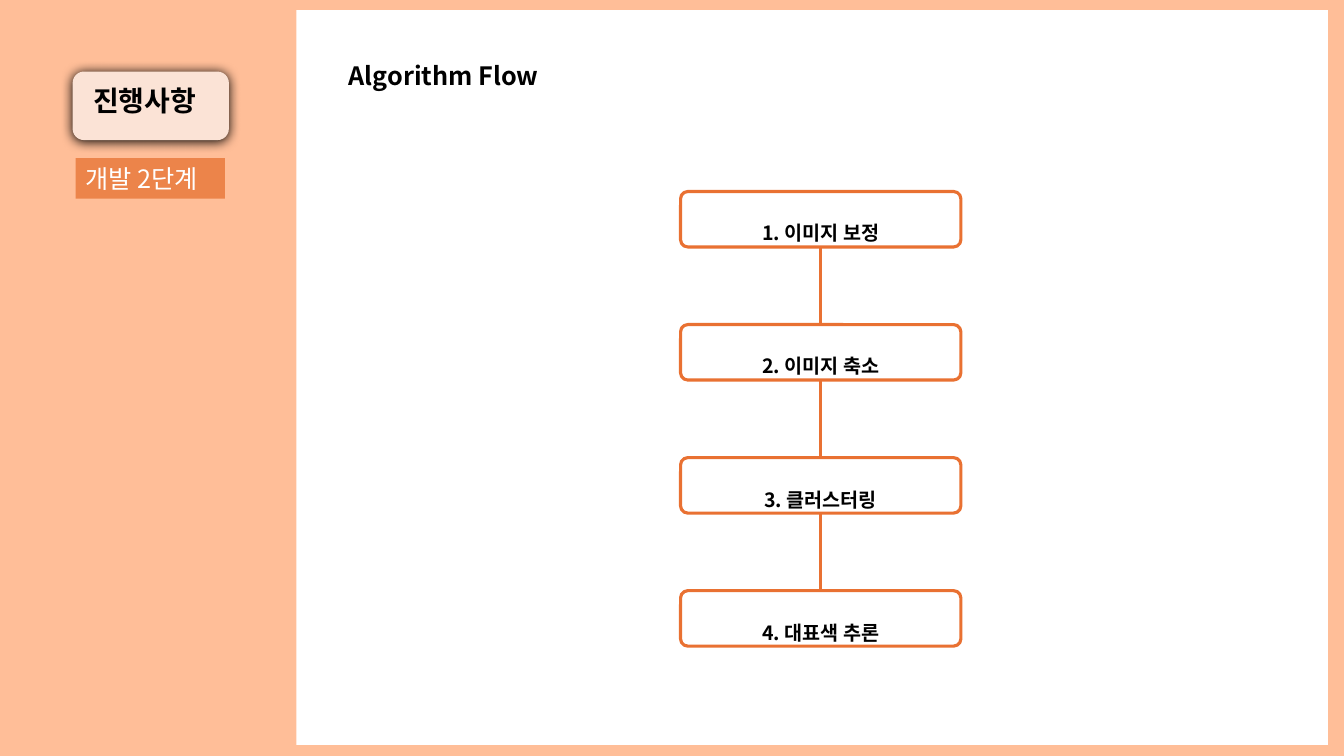
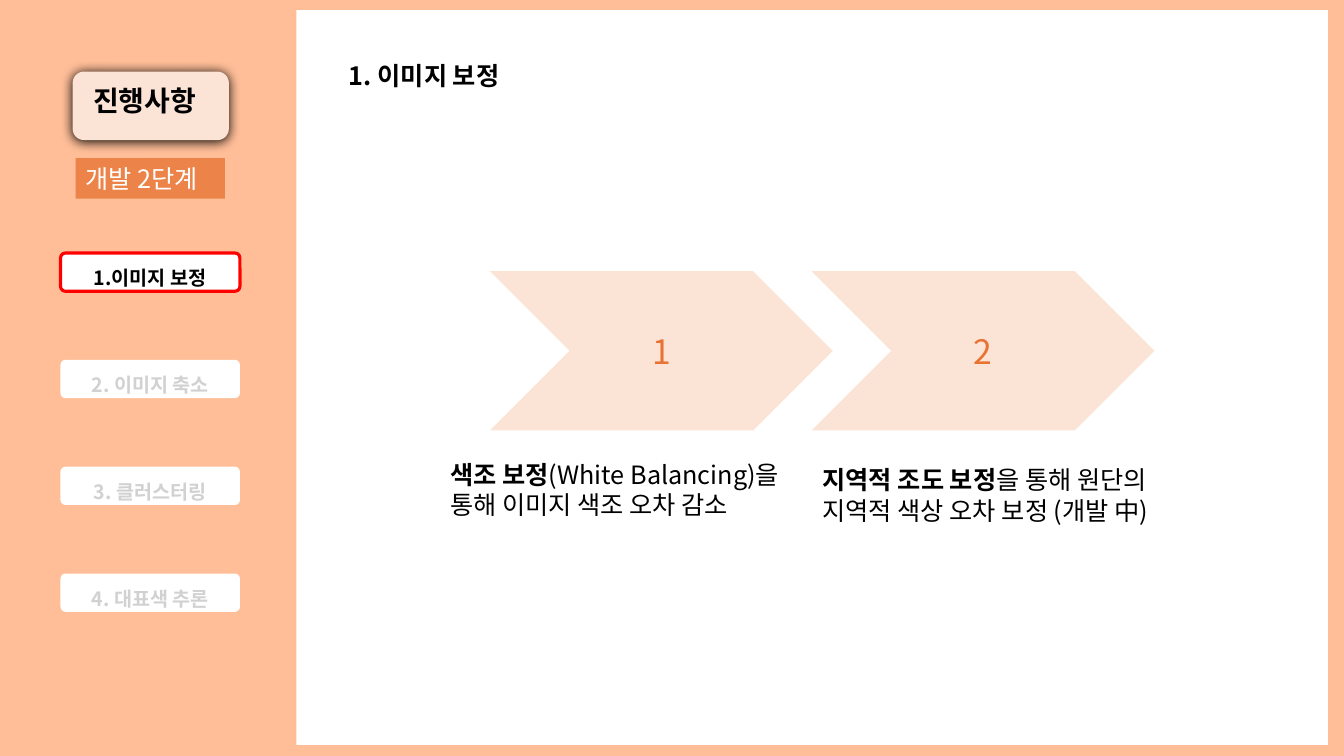
from lxml.etree import SubElement
from pptx import Presentation
from pptx.dml.color import RGBColor
from pptx.enum.shapes import MSO_CONNECTOR, MSO_SHAPE
from pptx.enum.text import MSO_ANCHOR, MSO_AUTO_SIZE, PP_ALIGN
from pptx.oxml import parse_xml
from pptx.oxml.ns import nsdecls, qn
from pptx.util import Inches, Pt

FONT = "Noto Sans CJK KR"
PEACH = RGBColor(0xFF, 0xBE, 0x98)
PALE_PEACH = RGBColor(0xFB, 0xE3, 0xD6)
STAGE_ORANGE = RGBColor(0xEC, 0x84, 0x4A)
ORANGE = RGBColor(0xE9, 0x71, 0x32)
RED = RGBColor(0xFF, 0x00, 0x00)
GREY = RGBColor(0xD1, 0xD1, 0xD1)
BLACK = RGBColor(0x00, 0x00, 0x00)
WHITE = RGBColor(0xFF, 0xFF, 0xFF)

LINE_WIDTH = Pt(2.25)
STEPS = ["1. 이미지 보정", "2. 이미지 축소", "3. 클러스터링", "4. 대표색 추론"]
SIDEBAR_STEPS = ["1.이미지 보정", *STEPS[1:]]
# left, top, bold opening, remaining text, width
CORRECTIONS = [
    (4.37, 4.51, "색조 보정", "(White Balancing)을 통해 이미지 색조 오차 감소", 3.7),
    (8.06, 4.56, "지역적 조도 보정", "을 통해 원단의 지역적 색상 오차 보정 (개발 中)", 3.91),
]


def style_paragraph(paragraph, size, color, bold=False, align=PP_ALIGN.LEFT):
    """Format a paragraph, with the same typeface for Latin and Korean text."""
    paragraph.alignment = align
    font = paragraph.font
    font.name, font.size, font.bold = FONT, Pt(size), bold
    font.color.rgb = color
    properties = paragraph._p.pPr.find(qn("a:defRPr"))
    SubElement(properties, qn("a:ea")).set("typeface", FONT)


def set_margins(frame, left=0.1, top=0.05, right=0.1, bottom=0.05):
    frame.margin_left, frame.margin_top = Inches(left), Inches(top)
    frame.margin_right, frame.margin_bottom = Inches(right), Inches(bottom)


def add_box(slide, kind, left, top, width, height, fill, line=None):
    shape = slide.shapes.add_shape(
        kind, Inches(left), Inches(top), Inches(width), Inches(height))
    shape.shadow.inherit = False
    shape.fill.solid()
    shape.fill.fore_color.rgb = fill
    if line is None:
        shape.line.fill.background()
    else:
        shape.line.color.rgb = line
        shape.line.width = LINE_WIDTH
    return shape


def write(shape, text, size, color, bold=False, align=PP_ALIGN.LEFT,
          anchor=MSO_ANCHOR.MIDDLE):
    frame = shape.text_frame
    frame.word_wrap = True
    frame.vertical_anchor = anchor
    frame.text = text
    style_paragraph(frame.paragraphs[0], size, color, bold, align)
    return frame


def add_step(slide, text, left, top, width, height, line, color=BLACK):
    shape = add_box(slide, MSO_SHAPE.ROUNDED_RECTANGLE, left, top, width, height,
                    WHITE, line)
    shape.adjustments[0] = 0.13
    frame = write(shape, text, 14, color, True, PP_ALIGN.CENTER, MSO_ANCHOR.BOTTOM)
    set_margins(frame, top=0, bottom=0)
    return shape


def add_link(slide, upper, lower):
    """Join the bottom of one box to the top of the next."""
    connector = slide.shapes.add_connector(MSO_CONNECTOR.STRAIGHT, 0, 0, 0, 0)
    connector.begin_connect(upper, 2)
    connector.end_connect(lower, 0)
    connector.line.color.rgb = ORANGE
    connector.line.width = LINE_WIDTH
    SubElement(connector._element.spPr, qn("a:effectLst"))


def add_badge(slide):
    """Add the section name on a rounded card with a soft shadow."""
    badge = add_box(slide, MSO_SHAPE.ROUNDED_RECTANGLE, 0.72, 0.71, 1.55, 0.68,
                    PALE_PEACH)
    effects = badge._element.spPr.find(qn("a:effectLst"))
    effects.append(parse_xml(
        f'<a:outerShdw {nsdecls("a")} blurRad="{Pt(8.5)}" dist="{Pt(1)}" '
        'dir="5400000" algn="t" rotWithShape="0"><a:srgbClr val="000000"/>'
        '</a:outerShdw>'))
    frame = write(badge, "진행사항", 20, BLACK, True)
    set_margins(frame, left=0.17, top=0, right=0, bottom=0.1)


def add_base_slide(presentation, title_text):
    """Add a slide with the peach frame, white panel, section labels and title."""
    slide = presentation.slides.add_slide(presentation.slide_layouts[5])
    slide.background.fill.solid()
    slide.background.fill.fore_color.rgb = PEACH
    add_box(slide, MSO_SHAPE.RECTANGLE, 2.94, 0.1, 10.23, 7.29, WHITE)
    add_badge(slide)
    stage = add_box(slide, MSO_SHAPE.RECTANGLE, 0.75, 1.57, 1.48, 0.4, STAGE_ORANGE)
    set_margins(write(stage, "개발 2단계", 18, WHITE), right=0)

    title = slide.shapes.title
    title.left, title.top = Inches(3.36), Inches(0.55)
    title.width, title.height = Inches(3.95), Inches(0.4)
    frame = write(title, title_text, 18, BLACK, True)
    frame.auto_size = MSO_AUTO_SIZE.NONE
    set_margins(frame)
    title.element.getparent().append(title.element)  # in front of the panel
    return slide


def add_caption(slide, left, top, lead, rest, width):
    box = slide.shapes.add_textbox(
        Inches(left), Inches(top), Inches(width), Inches(0.71))
    box.text_frame.word_wrap = True
    paragraph = box.text_frame.paragraphs[0]
    for text, bold in ((lead, True), (rest, False)):
        run = paragraph.add_run()
        run.text = text
        run.font.bold = bold
    style_paragraph(paragraph, 18, BLACK)


def build_flow_slide(presentation):
    slide = add_base_slide(presentation, "Algorithm Flow")
    boxes = [add_step(slide, text, 6.75, 1.9 + 1.32 * index, 2.78, 0.55, ORANGE)
             for index, text in enumerate(STEPS)]
    for upper, lower in zip(boxes, boxes[1:]):
        add_link(slide, upper, lower)


def build_correction_slide(presentation):
    slide = add_base_slide(presentation, STEPS[0])
    for index, text in enumerate(SIDEBAR_STEPS):
        line, color = (RED, BLACK) if index == 0 else (None, GREY)
        add_step(slide, text, 0.6, 2.51 + 1.06 * index, 1.78, 0.38, line, color)
    for index, correction in enumerate(CORRECTIONS):
        chevron = add_box(slide, MSO_SHAPE.CHEVRON, 4.86 + 3.19 * index, 2.69,
                          3.4, 1.58, PALE_PEACH)
        write(chevron, str(index + 1), 24, ORANGE, align=PP_ALIGN.CENTER)
        add_caption(slide, *correction)


def main():
    presentation = Presentation()
    presentation.slide_width = Inches(13.33)
    presentation.slide_height = Inches(7.5)
    build_flow_slide(presentation)
    build_correction_slide(presentation)
    presentation.save("out.pptx")


if __name__ == "__main__":
    main()
